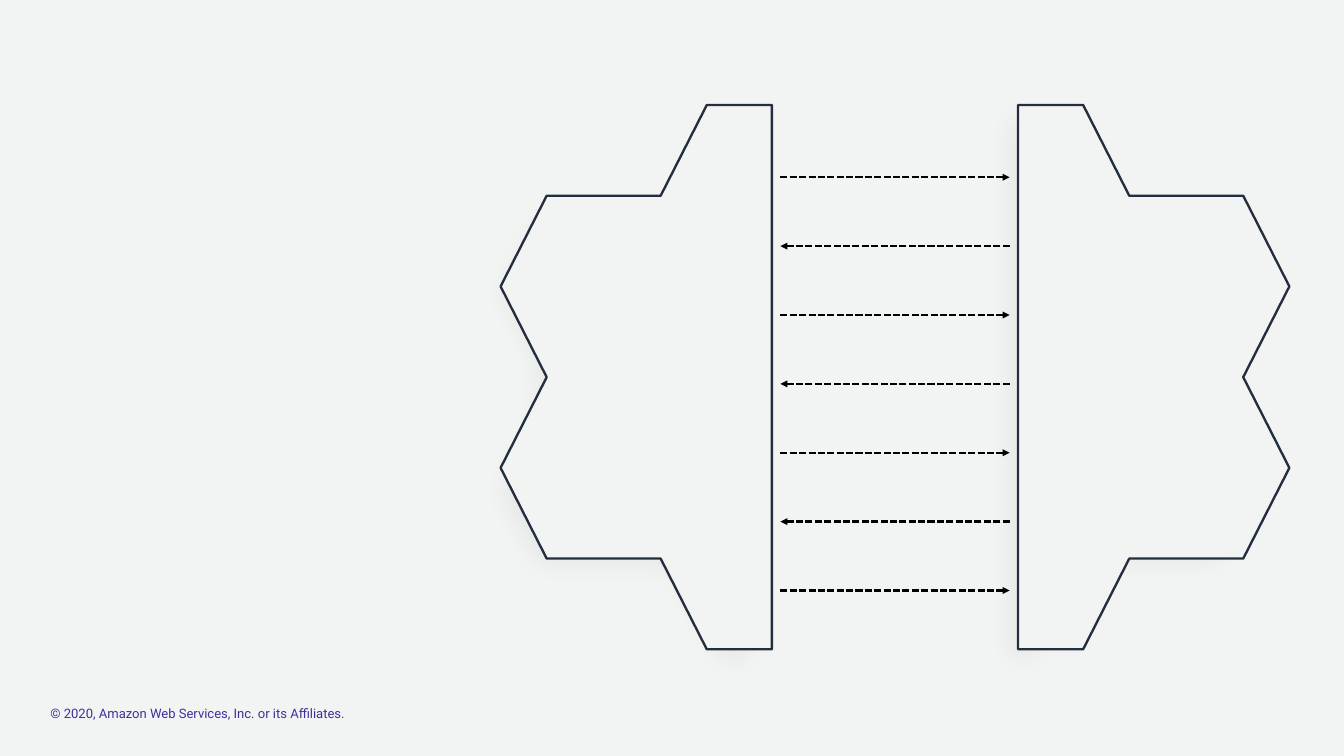
from lxml import etree
from pptx import Presentation
from pptx.dml.color import RGBColor
from pptx.enum.dml import MSO_LINE
from pptx.enum.shapes import MSO_CONNECTOR, MSO_SHAPE
from pptx.enum.text import MSO_AUTO_SIZE
from pptx.oxml.ns import qn
from pptx.util import Inches, Pt

PAPER = RGBColor(0xF2, 0xF3, 0xF3)
INK = RGBColor(0x23, 0x2F, 0x3E)
BLACK = RGBColor(0, 0, 0)
VIOLET = RGBColor(0x3C, 0x33, 0x99)
STRAIGHT = MSO_CONNECTOR.STRAIGHT
RECTANGLE = MSO_SHAPE.RECTANGLE
DASH = MSO_LINE.SQUARE_DOT
GROW = MSO_AUTO_SIZE.SHAPE_TO_FIT_TEXT

# Half-hexagon outline: share of the width from the flat side, and row of six
OUTLINE = [(0, 0), (0.24, 0), (0.41, 1), (0.83, 1), (1, 2), (0.83, 3),
           (1, 4), (0.83, 5), (0.41, 5), (0.24, 6), (0, 6)]
ROWS = 6


def add_half(flat_x, top, width, height):
    """Draw one half; a negative width points it to the left."""
    points = [(Inches(flat_x + share * width), Inches(top + row * height / ROWS))
              for share, row in OUTLINE]
    builder = slide.shapes.build_freeform(*points[0], scale=1.0)
    builder.add_line_segments(points[1:], close=True)
    half = builder.convert_to_shape()
    half.shadow.inherit = False
    return half


def fill_clear(shape, color, percent):
    """Fill a shape without outline, at the given opacity."""
    shape.fill.solid()
    shape.fill.fore_color.rgb = color
    shape.line.fill.background()
    tint = shape._element.spPr.find(qn("a:solidFill"))[0]
    etree.SubElement(tint, qn("a:alpha")).set("val", str(percent * 1000))


prs = Presentation()
prs.slide_width, prs.slide_height = Inches(16), Inches(9)
slide = prs.slides.add_slide(prs.slide_layouts[6])
slide.background.fill.solid()
slide.background.fill.fore_color.rgb = PAPER

# Copyright line
copyright_line = slide.shapes.add_textbox(Inches(0.6), Inches(8.4), Inches(7.78), Inches(0.19))
frame = copyright_line.text_frame
for setting, value in {"margin_left": 0, "margin_right": 0, "margin_top": 0,
                       "margin_bottom": 0, "word_wrap": True, "auto_size": GROW}.items():
    setattr(frame, setting, value)
run = frame.paragraphs[0].add_run()
run.text = "© 2020, Amazon Web Services, Inc. or its Affiliates."
run.font.name = "Roboto"
run.font.size = Pt(11.2)
run.font.color.rgb = VIOLET

# Pale band between the halves
band = slide.shapes.add_shape(RECTANGLE, Inches(9.2), 0, Inches(2.91), prs.slide_height)
band.shadow.inherit = False
fill_clear(band, PAPER, 70)

# Soft shade behind each half
for flat_x, top, width in [(9.21, 1.12, -3.74), (11.7, 1.08, 3.78)]:
    shade = add_half(flat_x, top, width, 7.09)
    fill_clear(shade, BLACK, 6)
    effects = shade._element.spPr.find(qn("a:effectLst"))
    etree.SubElement(effects, qn("a:softEdge")).set("rad", str(Pt(25)))

# Messages alternating between the halves
LEFT_END, RIGHT_END = Inches(9.29), Inches(12.02)
FIRST_MESSAGE, MESSAGE_PITCH, MESSAGES = 2.11, 0.82, 7
for number in range(MESSAGES):
    y = Inches(FIRST_MESSAGE + number * MESSAGE_PITCH)
    start, end = (RIGHT_END, LEFT_END) if number % 2 else (LEFT_END, RIGHT_END)
    message = slide.shapes.add_connector(STRAIGHT, start, y, end, y)
    message.line.color.rgb = BLACK
    message.line.width = Pt(2)
    message.line.dash_style = DASH
    etree.SubElement(message.line._ln, qn("a:tailEnd")).set("type", "triangle")
    etree.SubElement(message._element.spPr, qn("a:effectLst"))

# The two halves
for flat_x, width in [(9.19, -3.23), (12.12, 3.23)]:
    half = add_half(flat_x, 1.25, width, 6.48)
    half.fill.solid()
    half.fill.fore_color.rgb = PAPER
    half.line.color.rgb = INK
    half.line.width = Pt(2)

prs.save("out.pptx")
